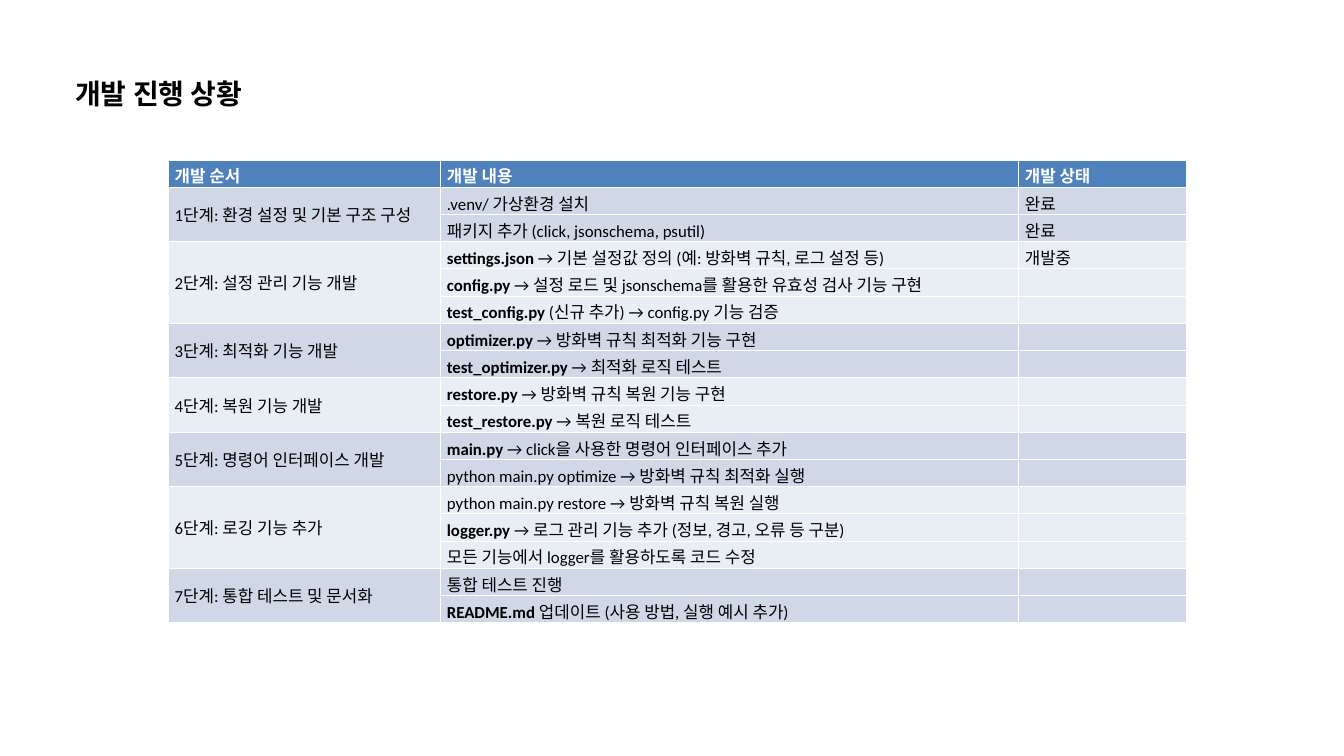
import pptx
import pptx.util
import pptx.dml.color
import pptx.enum.text

Inches, Pt = pptx.util.Inches, pptx.util.Pt
RGBColor = pptx.dml.color.RGBColor

BLACK = RGBColor(0x00, 0x00, 0x00)
WHITE = RGBColor(0xFF, 0xFF, 0xFF)
BLUE = RGBColor(0x4F, 0x81, 0xBD)
BANDS = [RGBColor(0xD0, 0xD8, 0xE8), RGBColor(0xE9, 0xED, 0xF4)]

HEADS = ["개발 순서", "개발 내용", "개발 상태"]
WIDTHS = [4.05, 8.6, 2.5]

# Each stage has its tasks: bold file name, description, state
STAGES = [
    ("1단계: 환경 설정 및 기본 구조 구성", [
        ("", ".venv/ 가상환경 설치", "완료"),
        ("", "패키지 추가 (click, jsonschema, psutil)", "완료")]),
    ("2단계: 설정 관리 기능 개발", [
        ("settings.json", " → 기본 설정값 정의 (예: 방화벽 규칙, 로그 설정 등)", "개발중"),
        ("config.py", " → 설정 로드 및 jsonschema를 활용한 유효성 검사 기능 구현", ""),
        ("test_config.py", " (신규 추가) → config.py 기능 검증", "")]),
    ("3단계: 최적화 기능 개발", [
        ("optimizer.py", " → 방화벽 규칙 최적화 기능 구현", ""),
        ("test_optimizer.py", " → 최적화 로직 테스트", "")]),
    ("4단계: 복원 기능 개발", [
        ("restore.py", " → 방화벽 규칙 복원 기능 구현", ""),
        ("test_restore.py", " → 복원 로직 테스트", "")]),
    ("5단계: 명령어 인터페이스 개발", [
        ("main.py", " → click을 사용한 명령어 인터페이스 추가", ""),
        ("", "python main.py optimize → 방화벽 규칙 최적화 실행", "")]),
    ("6단계: 로깅 기능 추가", [
        ("", "python main.py restore → 방화벽 규칙 복원 실행", ""),
        ("logger.py", " → 로그 관리 기능 추가 (정보, 경고, 오류 등 구분)", ""),
        ("", "모든 기능에서 logger를 활용하도록 코드 수정", "")]),
    ("7단계: 통합 테스트 및 문서화", [
        ("", "통합 테스트 진행", ""),
        ("README.md", " 업데이트 (사용 방법, 실행 예시 추가)", "")]),
]


def style(para, name, size, color, bold):
    font = para.font
    font.name, font.size, font.bold = name, Pt(size), bold
    font.color.rgb = color


def fill_cell(cell, text, back, color=BLACK, bold=False, lead=""):
    cell.fill.solid()
    cell.fill.fore_color.rgb = back
    para = cell.text_frame.paragraphs[0]
    style(para, "Calibri", 18, color, bold)
    if lead:
        run = para.add_run()
        run.text = lead
        run.font.bold = True
    if text:
        para.add_run().text = text


deck = pptx.Presentation()
deck.slide_width, deck.slide_height = Inches(20), Inches(11.25)
slide = deck.slides.add_slide(deck.slide_layouts[6])

# Title
box = slide.shapes.add_textbox(Inches(1.12), Inches(1.06), Inches(4.01), Inches(0.54))
frame = box.text_frame
frame.word_wrap = True
frame.auto_size = pptx.enum.text.MSO_AUTO_SIZE.SHAPE_TO_FIT_TEXT
frame.margin_left = frame.margin_right = frame.margin_top = frame.margin_bottom = 0
title = frame.paragraphs[0]
title.line_spacing = Pt(42)
style(title, "Inter", 30, BLACK, True)
title.add_run().text = "개발 진행 상황"

# Table; its default style draws the white rules
count = 1 + sum(len(tasks) for stage, tasks in STAGES)
table = slide.shapes.add_table(count, len(HEADS), Inches(2.5), Inches(2.38),
                               Inches(sum(WIDTHS)), Inches(6.89)).table
table.horz_banding = False
for col, width in zip(table.columns, WIDTHS):
    col.width = Inches(width)

# Header row
for col, head in enumerate(HEADS):
    fill_cell(table.cell(0, col), head, BLUE, WHITE, True)

# Stages, each merged over the rows of its tasks
row = 1
for index, (stage, tasks) in enumerate(STAGES):
    back = BANDS[index % 2]
    first = table.cell(row, 0)
    first.merge(table.cell(row + len(tasks) - 1, 0))
    first.vertical_anchor = pptx.enum.text.MSO_ANCHOR.MIDDLE
    fill_cell(first, stage, back)
    for lead, text, state in tasks:
        fill_cell(table.cell(row, 1), text, back, lead=lead)
        fill_cell(table.cell(row, 2), state, back)
        row += 1

deck.save("out.pptx")
